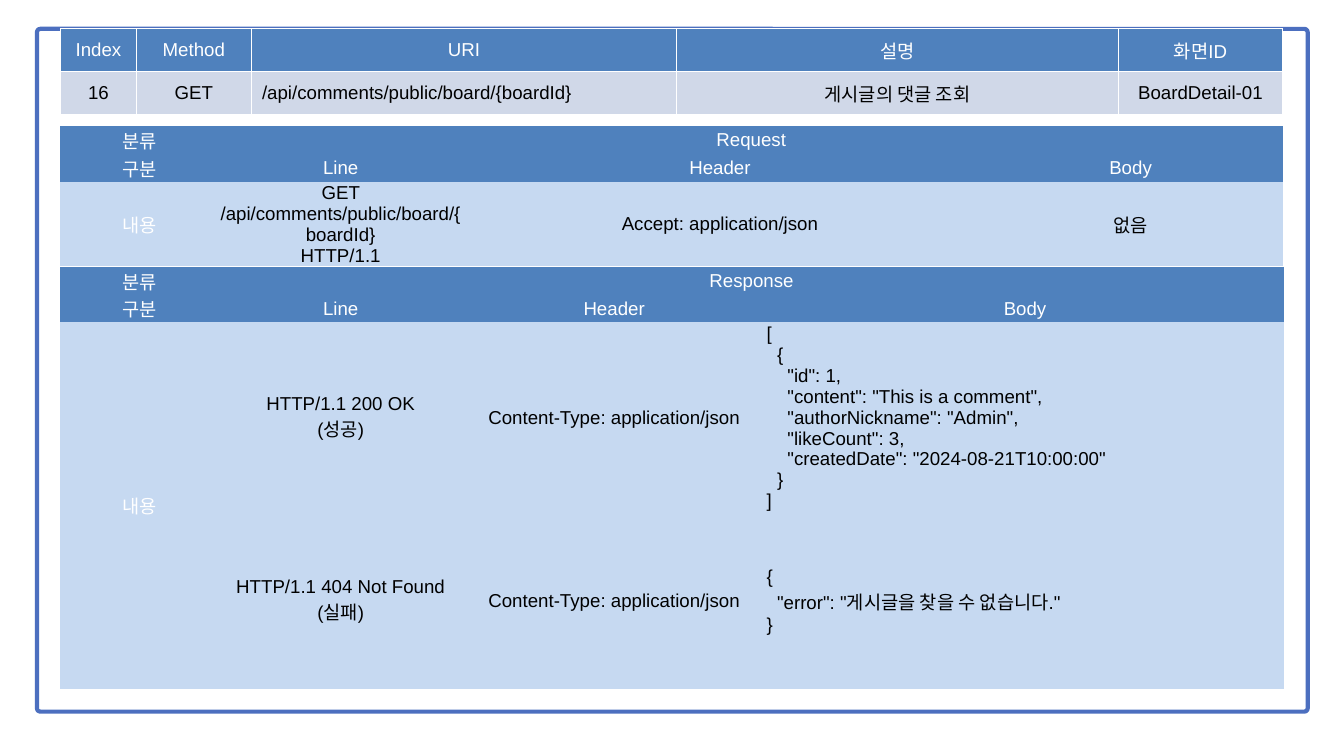
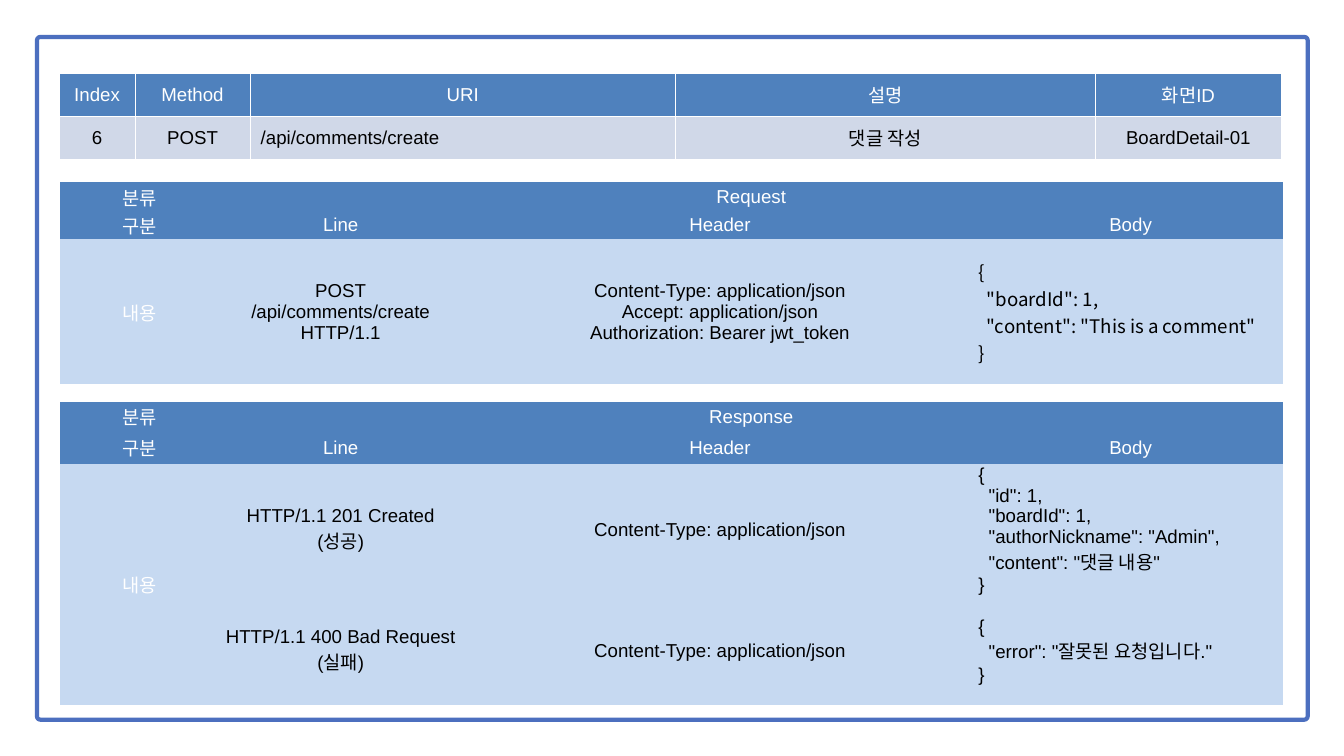
from lxml import etree
from pptx import Presentation
from pptx.dml.color import RGBColor
from pptx.enum import shapes, text
from pptx.oxml import ns
from pptx.util import Inches, Pt

COLORS = {"frame": "4C6FBF", "header": "4F81BD", "content": "C6D9F1",
          "summary": "D0D8E8", "white": "FFFFFF", "black": "000000"}
FONT, CODE_FONT = "Arial", "Noto Sans CJK KR"
FONT_SIZE = 20
PLAIN_STYLE = "{2D5ABB26-0587-4C30-8999-92F81FD0307C}"
LEFT = 0.9
FRAME_WIDTH, FRAME_HEIGHT = 18.91, 10.16
SUMMARY_MARGINS = (0.16, 0.08, 0.16, 0.08)
DETAIL_MARGINS = (0.01, 0.01, 0.01, 0)
WIDE_HEADER = [2.36, 3.62, 7.67, 4.55]
WIDE_BODY = [2.36, 3.62, 4.52, 7.71]

# Content: one dict per slide, each detail row is (line, header, body)
SUMMARY_TITLES = ["Index", "Method", "URI", "설명", "화면ID"]
DETAIL_TITLES = ["구분", "Line", "Header", "Body"]
JSON_TYPE = "Content-Type: application/json"

APIS = [
    {
        "frame_top": 0.43,
        "summary": {
            "left": LEFT, "top": 0.43, "columns": [1.13, 1.71, 6.33, 6.57, 2.45],
            "values": ["16", "GET", "/api/comments/public/board/{boardId}",
                       "게시글의 댓글 조회", "BoardDetail-01"],
        },
        "details": [
            {
                "title": "Request", "top": 1.87, "columns": WIDE_HEADER,
                "heights": [0.42, 0.41, 1.26],
                "rows": [("GET /api/comments/public/board/{boardId}\nHTTP/1.1",
                          "Accept: application/json", "없음")],
            },
            {
                "title": "Response", "top": 3.97, "columns": WIDE_BODY,
                "heights": [0.41, 0.41, 2.83, 2.62],
                "rows": [
                    ("HTTP/1.1 200 OK\n(성공)", JSON_TYPE, """[
  {
    "id": 1,
    "content": "This is a comment",
    "authorNickname": "Admin",
    "likeCount": 3,
    "createdDate": "2024-08-21T10:00:00"
  }
]"""),
                    ("HTTP/1.1 404 Not Found\n(실패)", JSON_TYPE, """{
  "error": "게시글을 찾을 수 없습니다."
}"""),
                ],
            },
        ],
    },
    {
        "frame_top": 0.55,
        "summary": {
            "left": 0.88, "top": 1.09, "columns": [1.13, 1.71, 6.33, 6.25, 2.77],
            "values": ["6", "POST", "/api/comments/create", "댓글 작성", "BoardDetail-01"],
        },
        "details": [
            {
                "title": "Request", "top": 2.71, "columns": WIDE_HEADER,
                "heights": [0.43, 0.42, 2.16], "body_font": CODE_FONT,
                "rows": [("POST\n/api/comments/create HTTP/1.1",
                          JSON_TYPE + "\nAccept: application/json"
                          "\nAuthorization: Bearer jwt_token", """{
  "boardId": 1,
  "content": "This is a comment"
}""")],
            },
            {
                "title": "Response", "top": 5.98, "columns": WIDE_HEADER,
                "heights": [0.43, 0.49, 1.96, 1.63],
                "rows": [
                    ("HTTP/1.1 201 Created\n(성공)", JSON_TYPE, """{
  "id": 1,
  "boardId": 1,
  "authorNickname": "Admin",
  "content": "댓글 내용"
}"""),
                    ("HTTP/1.1 400 Bad Request\n(실패)", JSON_TYPE, """{
  "error": "잘못된 요청입니다."
}"""),
                ],
            },
        ],
    },
]


def rgb(name):
    return RGBColor.from_string(COLORS[name])


def add_frame(slide, top):
    frame = slide.shapes.add_shape(
        shapes.MSO_SHAPE.ROUNDED_RECTANGLE, Inches(0.55), Inches(top),
        Inches(FRAME_WIDTH), Inches(FRAME_HEIGHT))
    frame.adjustments[0] = 0.05 / FRAME_HEIGHT
    frame.shadow.inherit = False
    frame.fill.solid()
    frame.fill.fore_color.rgb = rgb("white")
    frame.line.color.rgb = rgb("frame")
    frame.line.width = Pt(4.5)


def add_plain_table(slide, left, top, columns, heights):
    table = slide.shapes.add_table(
        len(heights), len(columns), Inches(left), Inches(top),
        Inches(sum(columns)), Inches(sum(heights))).table
    table._tbl.tblPr.find(ns.qn("a:tableStyleId")).text = PLAIN_STYLE
    for column, width in zip(table.columns, columns):
        column.width = Inches(width)
    for row, height in zip(table.rows, heights):
        row.height = Inches(height)
    return table


def fill_cell(cell, content, fill, color, margins, centered=True, font=FONT):
    cell.fill.solid()
    cell.fill.fore_color.rgb = rgb(fill)
    cell.vertical_anchor = text.MSO_ANCHOR.MIDDLE
    (cell.margin_left, cell.margin_top,
     cell.margin_right, cell.margin_bottom) = map(Inches, margins)
    cell.text = content
    for paragraph in cell.text_frame.paragraphs:
        paragraph.alignment = text.PP_ALIGN.CENTER if centered else text.PP_ALIGN.LEFT
        paragraph.font.name = font
        paragraph.font.size = Pt(FONT_SIZE)
        paragraph.font.color.rgb = rgb(color)


def add_borders(cell):
    # Border elements come before the fill in the cell properties
    properties = cell._tc.get_or_add_tcPr()
    for position, side in enumerate(("lnL", "lnR", "lnT", "lnB")):
        line = etree.Element(ns.qn("a:" + side), w=str(Pt(1)))
        solid = etree.SubElement(line, ns.qn("a:solidFill"))
        etree.SubElement(solid, ns.qn("a:srgbClr"), val=COLORS["white"])
        properties.insert(position, line)


def add_summary(slide, summary):
    table = add_plain_table(slide, summary["left"], summary["top"],
                            summary["columns"], [0.64, 0.64])
    for index, (title, value) in enumerate(zip(SUMMARY_TITLES, summary["values"])):
        fill_cell(table.cell(0, index), title, "header", "white", SUMMARY_MARGINS)
        fill_cell(table.cell(1, index), value, "summary", "black", SUMMARY_MARGINS,
                  centered=title != "URI")
        for row in range(2):
            add_borders(table.cell(row, index))


def add_detail(slide, detail):
    heights = detail["heights"]
    table = add_plain_table(slide, LEFT, detail["top"], detail["columns"], heights)

    # Two header rows
    table.cell(0, 1).merge(table.cell(0, 3))
    fill_cell(table.cell(0, 0), "분류", "header", "white", DETAIL_MARGINS)
    fill_cell(table.cell(0, 1), detail["title"], "header", "white", DETAIL_MARGINS)
    for index, title in enumerate(DETAIL_TITLES):
        fill_cell(table.cell(1, index), title, "header", "white", DETAIL_MARGINS)

    # Content rows share one label; JSON bodies are left-aligned
    if len(heights) > 3:
        table.cell(2, 0).merge(table.cell(len(heights) - 1, 0))
    fill_cell(table.cell(2, 0), "내용", "content", "white", DETAIL_MARGINS)
    for row, (line, header, body) in enumerate(detail["rows"], 2):
        for column, content in ((1, line), (2, header)):
            fill_cell(table.cell(row, column), content, "content", "black", DETAIL_MARGINS)
        fill_cell(table.cell(row, 3), body, "content", "black", DETAIL_MARGINS,
                  centered=body[0] not in "[{", font=detail.get("body_font", FONT))


def main():
    presentation = Presentation()
    presentation.slide_width = Inches(20)
    presentation.slide_height = Inches(11.25)
    for api in APIS:
        slide = presentation.slides.add_slide(presentation.slide_layouts[6])
        add_frame(slide, api["frame_top"])
        for detail in api["details"]:
            add_detail(slide, detail)
        add_summary(slide, api["summary"])
    presentation.save("out.pptx")


if __name__ == "__main__":
    main()
